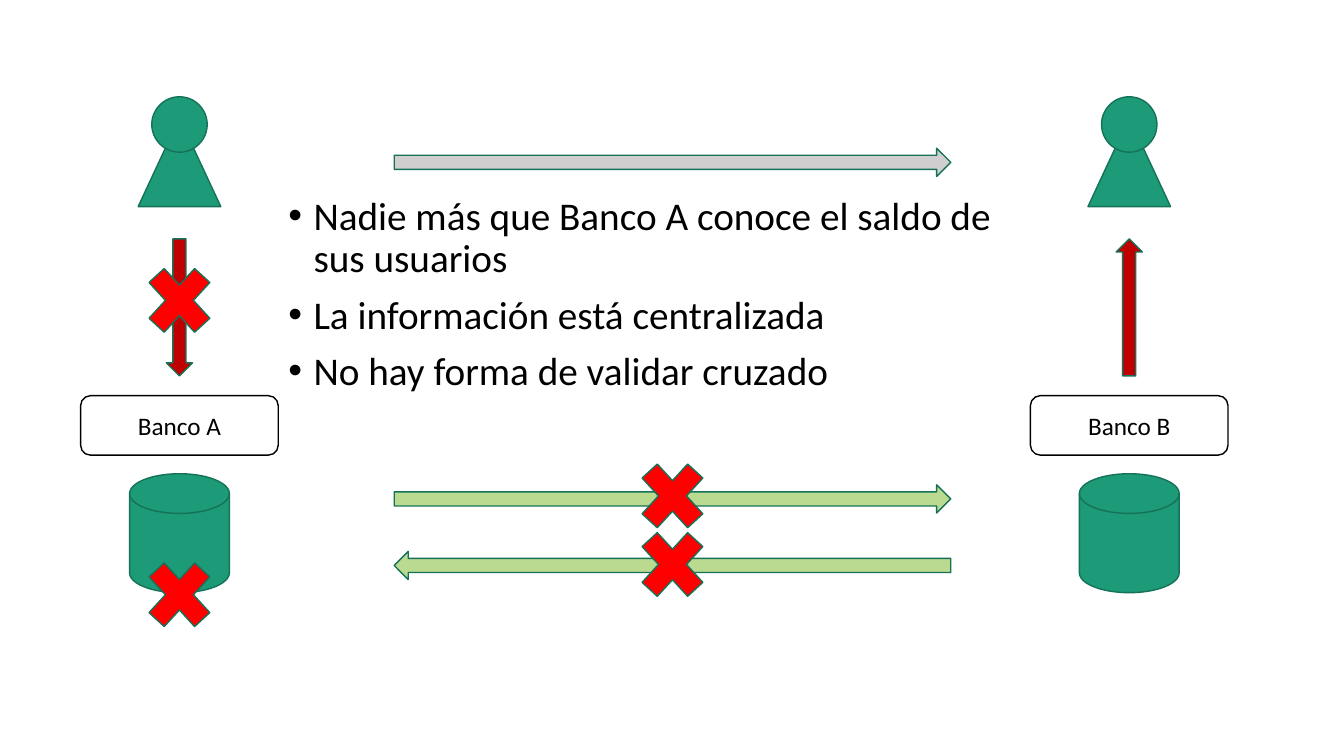
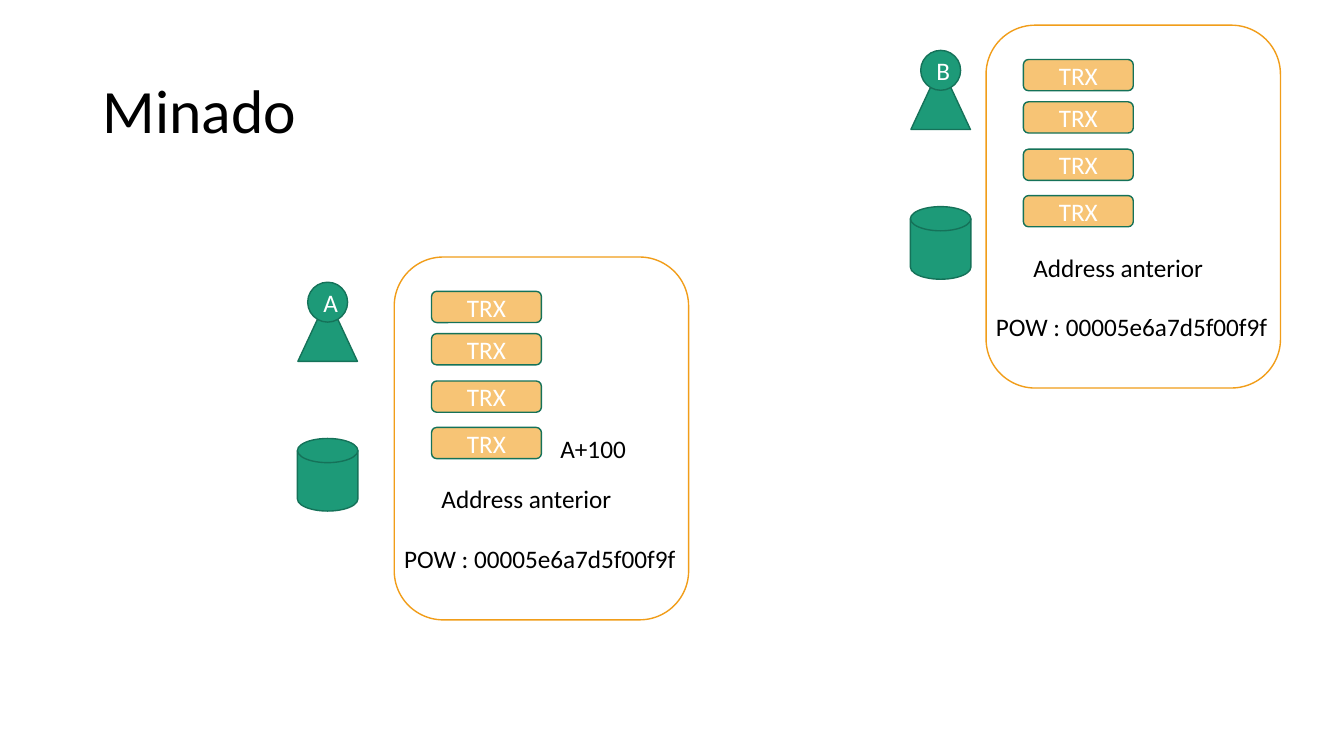
from pptx import Presentation
from pptx.dml.color import RGBColor
from pptx.enum.shapes import MSO_SHAPE as SHAPE
from pptx.enum.text import MSO_ANCHOR as ANCHOR, MSO_AUTO_SIZE as AUTO, PP_ALIGN as ALIGN
from pptx.util import Inches, Pt

FONT = "Calibri"
BLACK, WHITE = "000000", "FFFFFF"
GREEN, DARK_GREEN, LIGHT_GREEN = "1D9A78", "157259", "B9DA8F"
RED, DARK_RED, GRAY = "FF0000", "C00000", "D0CECE"
ORANGE, LIGHT_ORANGE = "F19D19", "F7C475"
TITLE_ONLY, TITLE_CONTENT = 5, 1


def rgb(color):
    return RGBColor.from_string(color)


class Deck:
    """Holds the style and the current slide."""

    def __init__(self):
        self.prs = Presentation()
        self.prs.slide_width, self.prs.slide_height = Inches(13.33), Inches(7.5)

    def new_slide(self, layout):
        self.s = self.prs.slides.add_slide(self.prs.slide_layouts[layout])

    def place(self, sp, x, y, w, h):
        sp.left, sp.top, sp.width, sp.height = map(Inches, (x, y, w, h))

    def style(self, tf, size, color, align=ALIGN.LEFT):
        tf.word_wrap = True
        for p in tf.paragraphs:
            p.alignment = align
            for r in p.runs:
                r.font.name, r.font.size = FONT, Pt(size)
                r.font.color.rgb = rgb(color)

    def title(self, text):
        sp = self.s.shapes.title
        self.place(sp, 0.92, 0.4, 11.5, 1.45)
        tf = sp.text_frame
        tf.text = text
        tf.vertical_anchor = ANCHOR.MIDDLE
        tf.paragraphs[0].line_spacing = 0.9
        self.style(tf, 44, BLACK)

    def bullets(self, x, y, w, h, lines):
        title = self.s.shapes.title.element
        title.getparent().remove(title)
        sp = self.s.placeholders[1]
        self.place(sp, x, y, w, h)
        tf = sp.text_frame
        tf.text = "\n".join(lines)
        tf.auto_size = AUTO.NONE
        self.style(tf, 28, BLACK)
        for p in tf.paragraphs:
            p.line_spacing, p.space_before = 0.9, Pt(10)
            pPr = p._p.get_or_add_pPr()
            pPr.set("marL", str(Inches(0.25)))
            pPr.set("indent", str(Inches(-0.25)))

    def shape(self, kind, x, y, w, h, fill=GREEN, line=DARK_GREEN,
              text="", color=WHITE, parent=None):
        shapes = (parent or self.s).shapes
        sp = shapes.add_shape(kind, *map(Inches, (x, y, w, h)))
        sp.shadow.inherit = False
        if fill:
            sp.fill.solid()
            sp.fill.fore_color.rgb = rgb(fill)
        else:
            sp.fill.background()
        sp.line.color.rgb, sp.line.width = rgb(line), Pt(1)
        if text:
            tf = sp.text_frame
            tf.text = text
            tf.vertical_anchor = ANCHOR.MIDDLE
            self.style(tf, 18, color, ALIGN.CENTER)
        return sp

    def centered(self, kind, cx, cy, w, h, **look):
        return self.shape(kind, cx - w / 2, cy - h / 2, w, h, **look)

    def cross(self, cx, cy):
        self.centered(SHAPE.MATH_MULTIPLY, cx, cy, 0.87, 0.95, fill=RED)

    def person(self, cx, top, scale=1.0, label=""):
        group = self.s.shapes.add_group_shape()
        head, w, h = 0.55 * scale, 0.82 * scale, 0.88 * scale
        self.shape(SHAPE.ISOSCELES_TRIANGLE, cx - w / 2, top + 0.21 * scale, w, h,
                   parent=group)
        self.shape(SHAPE.OVAL, cx - head / 2, top, head, head, text=label, parent=group)

    def database(self, cx, top, w, h):
        self.shape(SHAPE.FLOWCHART_MAGNETIC_DISK, cx - w / 2, top, w, h)

    def label(self, x, y, w, text):
        tf = self.s.shapes.add_textbox(*map(Inches, (x, y, w, 0.4))).text_frame
        tf.text = text
        tf.auto_size = AUTO.SHAPE_TO_FIT_TEXT
        self.style(tf, 18, BLACK)

    def bank(self, cx, name, arrow):
        """User, arrow, bank name and database in one column."""
        self.person(cx, 0.96)
        self.database(cx, 4.7, 0.99, 1.18)
        self.centered(SHAPE.ROUNDED_RECTANGLE, cx, 4.22, 1.96, 0.59,
                      fill=WHITE, line=BLACK, text=name, color=BLACK)
        self.centered(arrow, cx, 3.05, 0.26, 1.36, fill=DARK_RED)

    def miner(self, cx, top, name):
        self.person(cx, top, 0.72, name)
        self.database(cx, top + 1.55, 0.6, 0.72)

    def block(self, x, y):
        """Frame with its transactions, previous address and proof of work."""
        for dy in (0.34, 0.76, 1.23, 1.69):
            self.shape(SHAPE.ROUNDED_RECTANGLE, x + 0.37, y + dy, 1.09, 0.31,
                       fill=LIGHT_ORANGE, text="TRX")
        self.shape(SHAPE.ROUNDED_RECTANGLE, x, y, 2.92, 3.6, fill=None, line=ORANGE)
        self.label(x + 0.37, y + 2.2, 1.89, "Address anterior")
        self.label(x, y + 2.79, 3.11, "POW : 00005e6a7d5f00f9f")


def banks_slide(deck):
    bank_a, middle, bank_b = 1.78, 6.67, 11.2
    deck.new_slide(TITLE_CONTENT)
    deck.bullets(2.76, 1.9, 7.46, 2.72, [
        "Nadie más que Banco A conoce el saldo de sus usuarios",
        "La información está centralizada",
        "No hay forma de validar cruzado",
    ])
    deck.bank(bank_a, "Banco A", SHAPE.DOWN_ARROW)
    deck.bank(bank_b, "Banco B", SHAPE.UP_ARROW)
    # Flows between the two sides
    for kind, cy, fill in ((SHAPE.RIGHT_ARROW, 1.61, GRAY),
                           (SHAPE.RIGHT_ARROW, 4.95, LIGHT_GREEN),
                           (SHAPE.LEFT_ARROW, 5.61, LIGHT_GREEN)):
        deck.centered(kind, middle, cy, 5.52, 0.28, fill=fill)
    # Broken links
    for cx, cy in ((bank_a, 2.98), (middle, 4.92), (middle, 5.6), (bank_a, 5.9)):
        deck.cross(cx, cy)


def mining_slide(deck):
    deck.new_slide(TITLE_ONLY)
    deck.title("Minado")
    for name, cx, x, y in (("A", 3.25, 3.91, 2.55), ("B", 9.33, 9.78, 0.25)):
        deck.miner(cx, y + 0.25, name)
        deck.block(x, y)
    deck.label(5.46, 4.25, 1.03, "A+100")


def main():
    deck = Deck()
    banks_slide(deck)
    mining_slide(deck)
    deck.prs.save("out.pptx")


if __name__ == "__main__":
    main()
